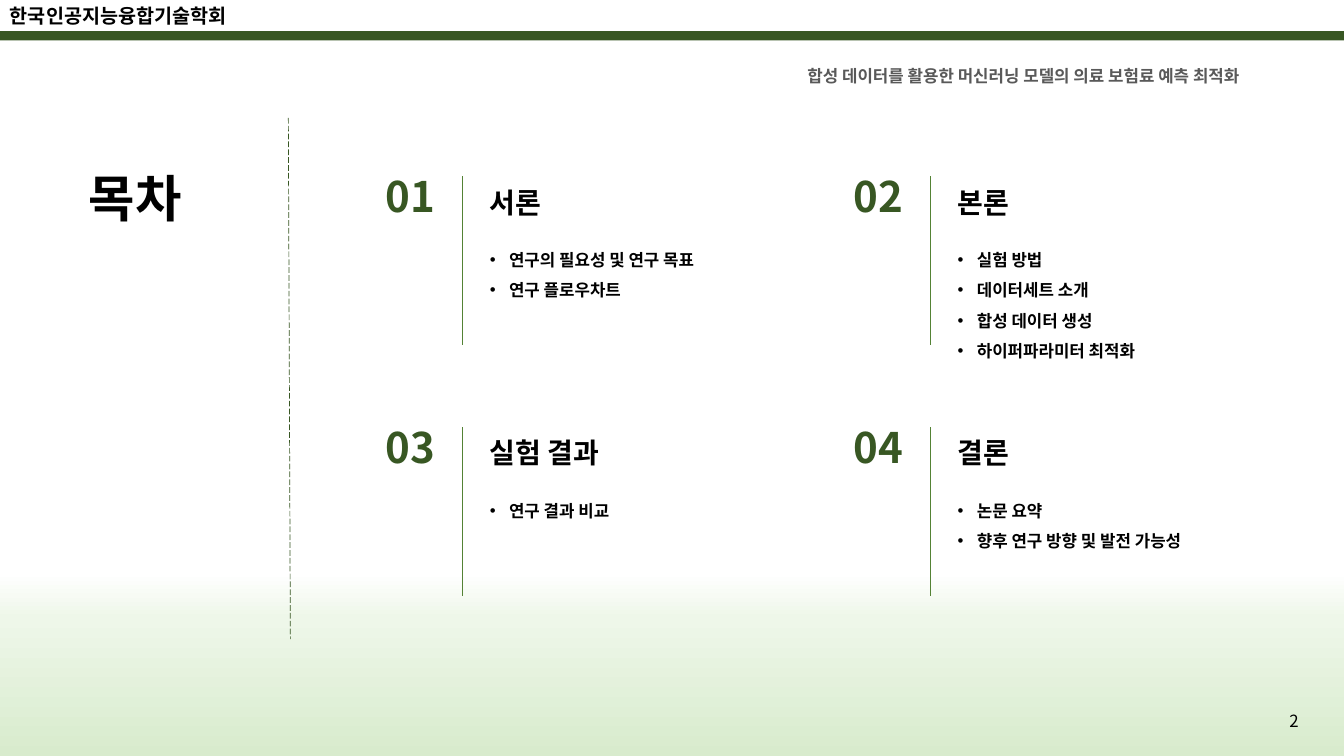
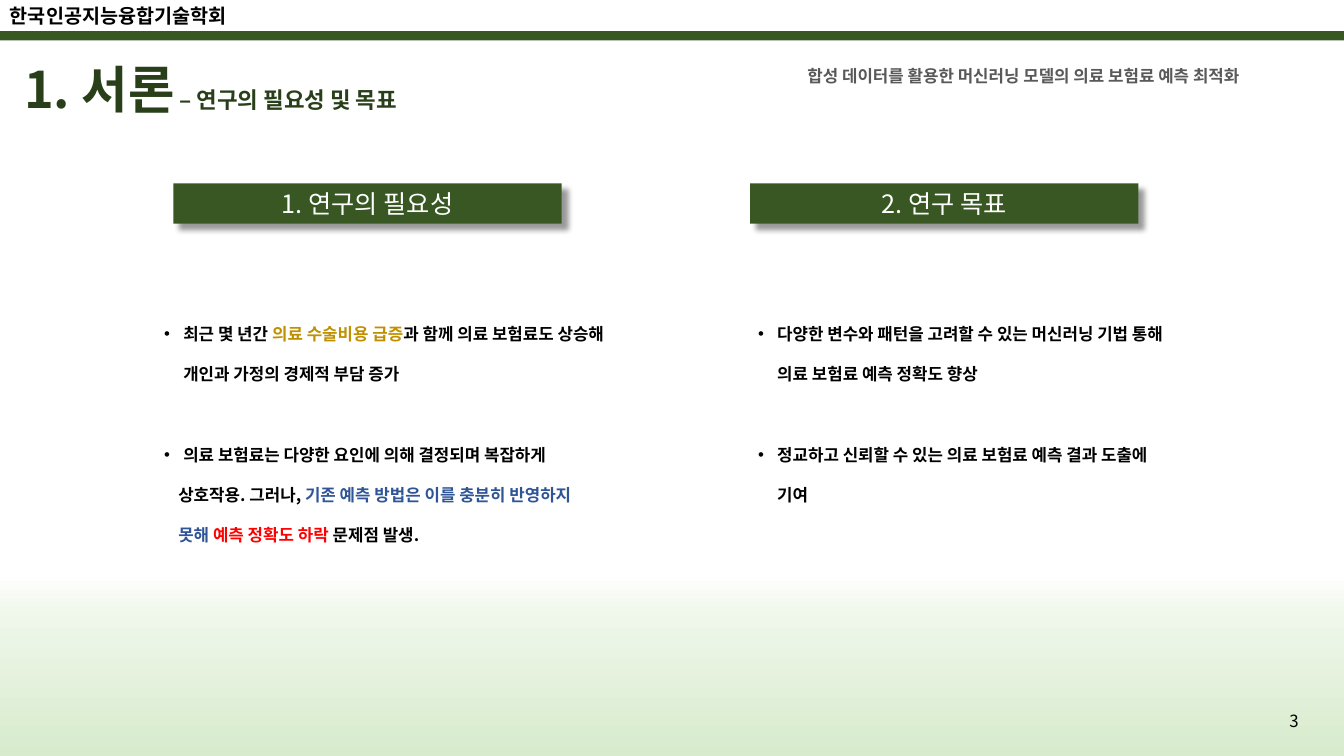
"""Build the contents slide and the introduction slide of a research talk."""
from itertools import product

from lxml.etree import SubElement
from pptx import Presentation
from pptx.dml.color import RGBColor
from pptx.enum.dml import MSO_LINE
from pptx.enum.shapes import MSO_CONNECTOR, MSO_SHAPE
from pptx.enum.text import MSO_ANCHOR, MSO_AUTO_SIZE, PP_ALIGN
from pptx.oxml import parse_xml
from pptx.oxml.ns import nsdecls, qn
from pptx.util import Inches, Pt

W, H = 13.33, 7.5
FONT = "Noto Sans CJK KR"
COLORS = {
    "black": "000000", "white": "FFFFFF", "green": "385723", "rule": "548235",
    "title": "283F19", "grey": "595959", "gold": "BF9000", "blue": "2F5597",
    "red": "FF0000", "fade_low": "D8EBCD", "fade_mid": "EEF7E9",
}
COL, ROW = 4.64, 2.49
PANEL = 5.72

BULLET = {"left": 0.69, "hang": 0.19}
ITEM = {**BULLET, "line_spacing": 1.5}
HEADING = {"left": 0.5, "line_spacing": 1.5}
POINT = {**BULLET, "line_spacing": 2.0, "space_before": Pt(0)}
SPACED_POINT = {**POINT, "space_before": Pt(28.8)}
CONTINUED = {"left": 0.64, "line_spacing": 2.0}
TITLE = {"line_spacing": 0.9, "alignment": PP_ALIGN.LEFT}

SECTIONS = [
    ("서론", ["연구의 필요성 및 연구 목표", "연구 플로우차트"]),
    ("본론", ["실험 방법", "데이터세트 소개", "합성 데이터 생성", "하이퍼파라미터 최적화"]),
    ("실험 결과", ["연구 결과 비교"]),
    ("결론", ["논문 요약", "향후 연구 방향 및 발전 가능성"]),
]
NEED = [
    ([("최근 몇 년간 ",), ("의료 수술비용 급증", 12, "gold"),
      ("과 함께 의료 보험료도 상승해 개인과 가정의 경제적 부담 증가",)], POINT),
    ([("의료 보험료는 다양한 요인에 의해 결정되며 복잡하게",)], SPACED_POINT),
    ([("상호작용. 그러나, ",),
      ("기존 예측 방법은 이를 충분히 반영하지", 12, "blue")], CONTINUED),
    ([("못해 ", 12, "blue"), ("예측 정확도 하락 ", 12, "red"), ("문제점 발생.",)], CONTINUED),
]
GOAL = [
    ([("다양한 변수와 패턴을 고려할 수 있는 머신러닝 기법 통해 의료 보험료 예측 정확도 향상",)], POINT),
    ([("정교하고 신뢰할 수 있는 의료 보험료 예측 결과 도출에 기여",)], SPACED_POINT),
]


def rgb(name):
    return RGBColor.from_string(COLORS[name])


def apply(obj, values):
    for key, value in values.items():
        setattr(obj, key, value)


def place(sp, box):
    apply(sp, dict(zip(("left", "top", "width", "height"), map(Inches, box))))


def add_run(p, text, size=12, color="black", bold=True):
    r = p.add_run()
    r.text = text
    apply(r.font, {"size": Pt(size), "bold": bold, "name": FONT})
    r.font.color.rgb = rgb(color)
    SubElement(r.font._element, qn("a:ea")).set("typeface", FONT)


def indent(p, left, hang):
    pPr = p._p.get_or_add_pPr()
    pPr.set("marL", str(Inches(left)))
    pPr.set("indent", str(-Inches(hang)))
    if hang:
        SubElement(pPr, qn("a:buFont")).set("typeface", "Arial")
        SubElement(pPr, qn("a:buChar")).set("char", "•")


def write(tf, paras, anchor=MSO_ANCHOR.TOP):
    apply(tf, {"word_wrap": True, "auto_size": MSO_AUTO_SIZE.NONE,
               "vertical_anchor": anchor})
    for i, (runs, fmt) in enumerate(paras):
        p = tf.add_paragraph() if i else tf.paragraphs[0]
        fmt = dict(fmt)
        left, hang = fmt.pop("left", 0), fmt.pop("hang", 0)
        apply(p, fmt)
        if left:
            indent(p, left, hang)
        for run in runs:
            add_run(p, *run)


def add_text(s, box, paras, anchor=MSO_ANCHOR.TOP):
    sp = s.shapes.add_textbox(*map(Inches, box))
    write(sp.text_frame, paras, anchor)
    return sp


def add_rect(s, box, color="green"):
    sp = s.shapes.add_shape(MSO_SHAPE.RECTANGLE, *map(Inches, box))
    sp.shadow.inherit = False
    sp.fill.solid()
    sp.fill.fore_color.rgb = rgb(color)
    sp.line.fill.background()
    return sp


def add_line(s, start, end, color, dash=None):
    ln = s.shapes.add_connector(MSO_CONNECTOR.STRAIGHT, *map(Inches, start + end))
    apply(ln.line, {"width": Pt(0.5), "dash_style": dash})
    ln.line.color.rgb = rgb(color)
    SubElement(ln._element.spPr, qn("a:effectLst"))


def add_fade(s, box):
    sp = add_rect(s, box)
    stops = "".join(
        f'<a:gs pos="{pos}000"><a:srgbClr val="{COLORS[name]}"/></a:gs>'
        for pos, name in ((0, "fade_low"), (75, "fade_mid"), (100, "white")))
    spPr = sp._element.spPr
    spPr.replace(spPr.find(qn("a:solidFill")), parse_xml(
        f'<a:gradFill {nsdecls("a")} rotWithShape="1"><a:gsLst>{stops}</a:gsLst>'
        '<a:lin ang="16200000" scaled="0"/></a:gradFill>'))
    return sp


def add_banner(s, box, text):
    sp = add_rect(s, box)
    write(sp.text_frame, [([(text, 18, "white", False)],
                           {"alignment": PP_ALIGN.CENTER})], MSO_ANCHOR.MIDDLE)
    effects = sp._element.spPr.find(qn("a:effectLst"))
    effects.append(parse_xml(
        f'<a:outerShdw {nsdecls("a")} blurRad="{Pt(4)}" dist="{Pt(6)}" dir="2700000" '
        f'algn="tl" rotWithShape="0"><a:srgbClr val="{COLORS["black"]}">'
        '<a:alpha val="40000"/></a:srgbClr></a:outerShdw>'))


def furnish_layout(layout, s):
    for ph in list(layout.placeholders)[1:]:
        ph.element.getparent().remove(ph.element)
    shared = [
        add_fade(s, (0, 5.68, W, H - 5.68)),
        add_rect(s, (0, 0.31, W, 0.09)),
        add_text(s, (0, -0.01, 2.56, 0.34), [([("한국인공지능융합기술학회", 14)], {})]),
        add_text(s, (7.91, 0.6, 5.07, 0.3),
                 [([("합성 데이터를 활용한 머신러닝 모델의 의료 보험료 예측 최적화",
                     12, "grey")], {})]),
    ]
    for sp in shared:
        layout.shapes.element.append(sp.element)


def add_title_and_number(s, box, runs, number):
    place(s.shapes.title, box)
    write(s.shapes.title.text_frame, [(runs, TITLE)], MSO_ANCHOR.MIDDLE)
    add_text(s, (9.98, 6.95, 3, 0.4),
             [([(str(number), 12, "black", False)], {"alignment": PP_ALIGN.RIGHT})],
             MSO_ANCHOR.MIDDLE)


def add_section(s, x, y, number, heading, items):
    add_text(s, (x, y, 1.04, 0.61), [([(f"{number:02}", 30, "green")], {})])
    add_line(s, (x + 0.86, y + 0.11), (x + 0.86, y + 1.78), "rule")
    add_text(s, (x + 0.53, y - 0.02, 3.41, 0.54), [([(heading, 20)], HEADING)])
    add_text(s, (x + 0.53, y + 0.69, 3.41, 0.1 + 0.3 * len(items)),
             [([(item,)], ITEM) for item in items])


def fill_contents(s):
    add_title_and_number(s, (0.78, 1.64, 1.53, 0.71), [("목차", 36)], 2)
    add_line(s, (2.86, 1.17), (2.88, 6.34), "green", MSO_LINE.LONG_DASH)
    cells = product(range(2), repeat=2)
    for n, ((row, col), section) in enumerate(zip(cells, SECTIONS), 1):
        add_section(s, 3.73 + col * COL, 1.64 + row * ROW, n, *section)


def fill_introduction(s):
    add_title_and_number(s, (0.14, 0.56, 6.57, 0.71),
                         [("1. 서론", 36, "title"),
                          (" – 연구의 필요성 및 목표", 16, "title")], 3)
    for i, text in enumerate(("1. 연구의 필요성", "2. 연구 목표")):
        add_banner(s, (1.72 + i * PANEL, 1.82, 3.85, 0.4), text)
    for box, paras in (((1.03, 2.95, 5.24, 2.52), NEED),
                       ((6.92, 2.95, 4.89, 2.12), GOAL)):
        add_text(s, box, paras, MSO_ANCHOR.MIDDLE)


def main():
    prs = Presentation()
    apply(prs, {"slide_width": Inches(W), "slide_height": Inches(H)})
    layout = prs.slide_layouts[5]
    contents, introduction = (prs.slides.add_slide(layout) for _ in range(2))
    furnish_layout(layout, contents)
    fill_contents(contents)
    fill_introduction(introduction)
    prs.save("out.pptx")


if __name__ == "__main__":
    main()
